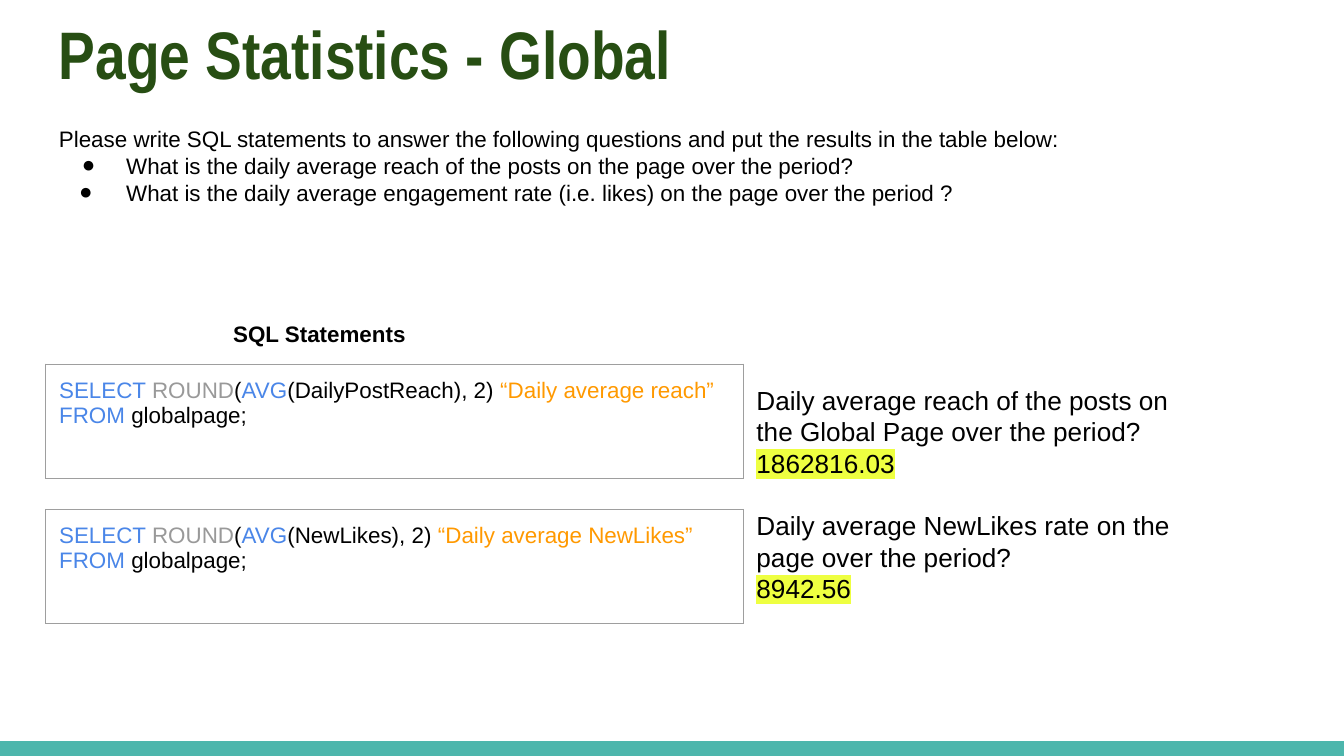
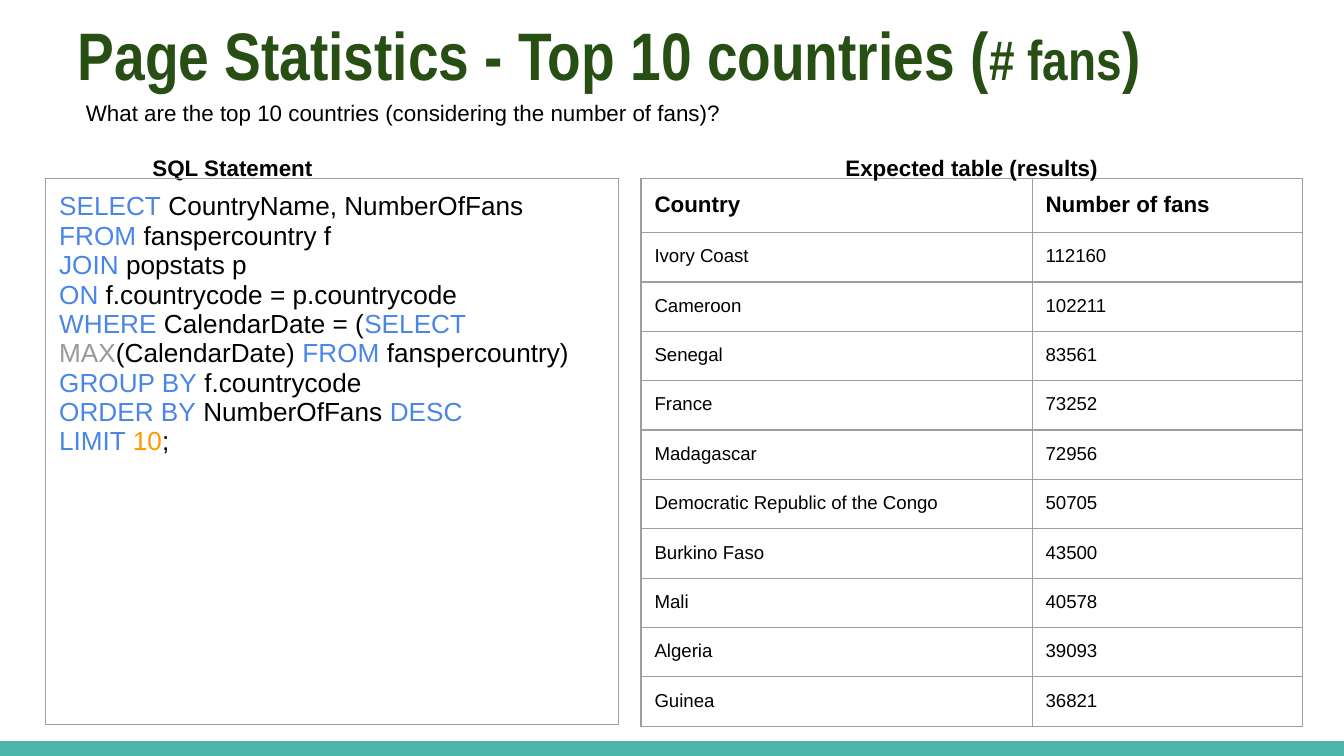
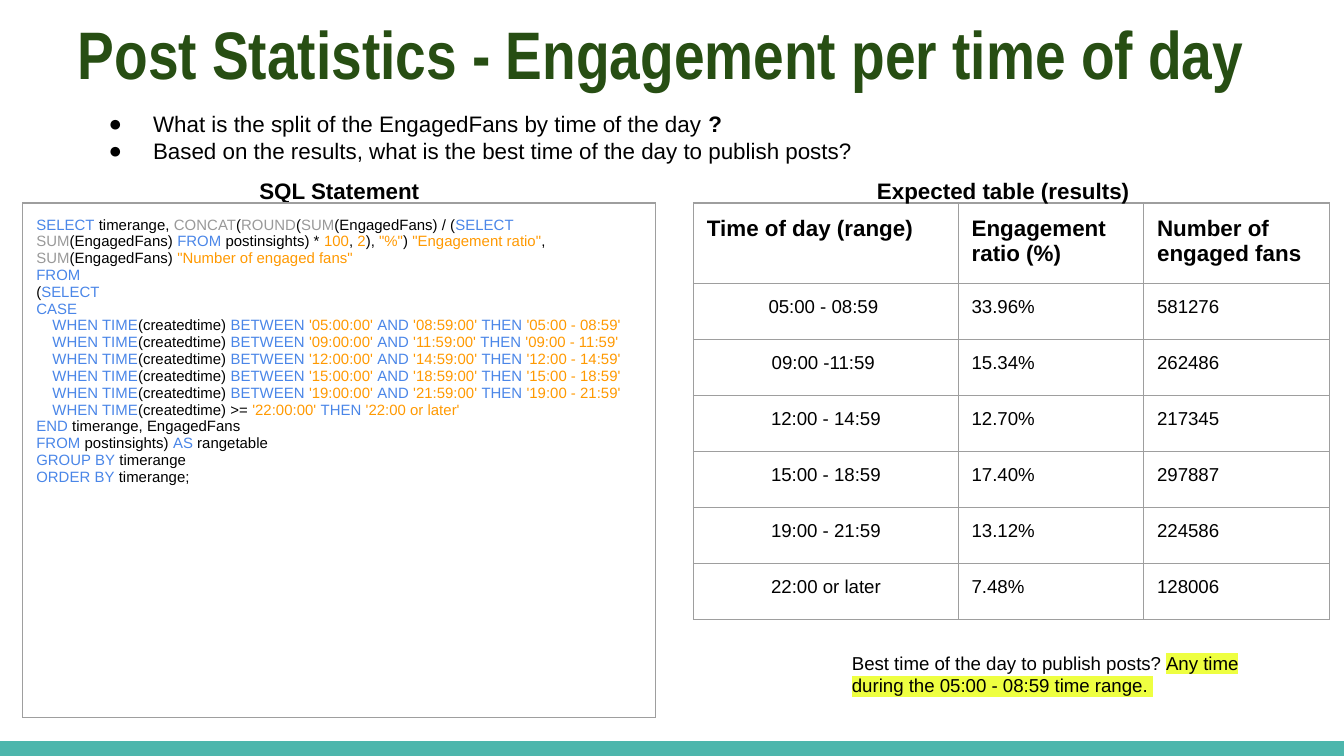
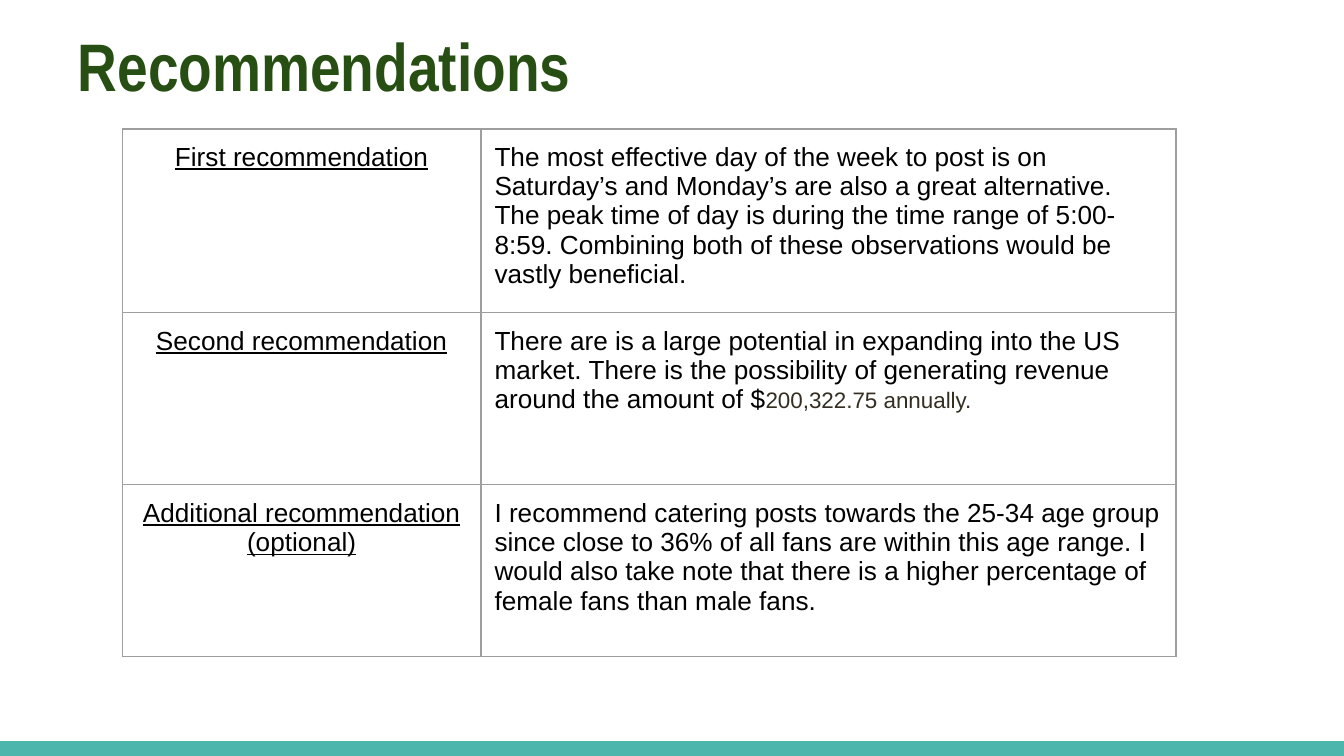
from dataclasses import dataclass
from typing import Optional, Sequence, Union

from lxml import etree
from pptx import Presentation
from pptx.dml.color import RGBColor
from pptx.enum.shapes import MSO_SHAPE
from pptx.enum.text import MSO_ANCHOR, PP_ALIGN
from pptx.oxml.ns import qn
from pptx.util import Inches, Pt

RECT = MSO_SHAPE.RECTANGLE
TOP = MSO_ANCHOR.TOP
LEFT, CENTER = PP_ALIGN.LEFT, PP_ALIGN.CENTER
WIDE = 10
HIGH = WIDE * 9 / 16


@dataclass(frozen=True)
class Theme:
    sans: str = "Arial"
    narrow: str = "Arial Narrow"
    ink: str = "000000"
    green: str = "274E13"
    teal: str = "4DB6AC"
    blue: str = "4A86E8"
    grey: str = "999999"
    orange: str = "FF9900"
    brown: str = "342E22"
    glow: str = "EEFF41"
    rule: str = "9E9E9E"
    title: int = 36
    sub: int = 30
    large: int = 14
    body: int = 12
    small: int = 10
    code: int = 8
    edge: float = 0.75
    inset: float = 0.1
    band: float = 0.11


THEME = Theme()

MARKS = {
    "~": {"color": THEME.blue},
    "^": {"color": THEME.grey},
    "@": {"color": THEME.orange},
    "!": {"glow": THEME.glow},
    "+": {"bold": True},
    "=": {"size": THEME.sub},
    "&": {"color": THEME.brown, "size": THEME.body},
}


@dataclass(frozen=True)
class Box:
    left: float
    top: float
    width: float
    height: float

    def lengths(self) -> tuple:
        return tuple(Inches(v) for v in (self.left, self.top, self.width, self.height))


@dataclass(frozen=True)
class Line:
    text: str
    indent: float = 0
    hang: float = 0
    before: float = 0


Lines = Sequence[Union[str, Line]]


def style(run, size: int, color: str, bold: bool, under: bool, font: str,
          glow: Optional[str] = None) -> None:
    face = run.font
    face.size, face.bold, face.underline = Pt(size), bold, under
    face.color.rgb = RGBColor.from_string(color)
    if glow:
        mark = etree.SubElement(run._r.get_or_add_rPr(), qn("a:highlight"))
        etree.SubElement(mark, qn("a:srgbClr"), val=glow)
    face.name = font


def indent(para, line: Line) -> None:
    props = para._p.get_or_add_pPr()
    props.set("marL", str(Inches(line.indent)))
    props.set("indent", str(-Inches(line.hang)))
    if line.hang:
        tint = etree.SubElement(props, qn("a:buClr"))
        etree.SubElement(tint, qn("a:srgbClr"), val=THEME.ink)
        etree.SubElement(props, qn("a:buFont"), typeface=THEME.sans)
        etree.SubElement(props, qn("a:buChar"), char="●")


def write(frame, lines: Lines, *, size: int = THEME.body, color: str = THEME.ink,
          bold: bool = False, under: bool = False, font: str = THEME.sans,
          align=LEFT, lead: Optional[float] = None) -> None:
    base = {"size": size, "color": color, "bold": bold, "under": under, "font": font}
    for i, item in enumerate(lines):
        line = item if isinstance(item, Line) else Line(item)
        para = frame.paragraphs[0] if i == 0 else frame.add_paragraph()
        para.alignment, para.line_spacing = align, lead
        para.space_before = Pt(line.before)
        indent(para, line)
        for part in line.text.split("|"):
            mark = MARKS.get(part[:1])
            run = para.add_run()
            run.text = part[1:] if mark else part
            style(run, **{**base, **(mark or {})})


def label(slide, box: Box, lines: Lines, **fmt) -> None:
    frame = slide.shapes.add_textbox(*box.lengths()).text_frame
    frame.word_wrap = True
    frame.vertical_anchor = TOP
    frame.margin_left = frame.margin_right = Inches(THEME.inset)
    frame.margin_top = frame.margin_bottom = Inches(THEME.inset)
    write(frame, lines, lead=1.0, **fmt)


def heading(slide, left: float, top: float, width: float, text: str) -> None:
    label(slide, Box(left, top, width, 0.25), [text], bold=True, align=CENTER)


def outline(cell) -> None:
    props = cell._tc.get_or_add_tcPr()
    for i, side in enumerate(("lnL", "lnR", "lnT", "lnB")):
        edge = etree.Element(qn(f"a:{side}"), w=str(Pt(THEME.edge)))
        fill = etree.SubElement(edge, qn("a:solidFill"))
        etree.SubElement(fill, qn("a:srgbClr"), val=THEME.rule)
        props.insert(i, edge)


def fill_cell(cell, lines: Lines, **fmt) -> None:
    cell.margin_left = cell.margin_right = Inches(THEME.inset)
    cell.margin_top = cell.margin_bottom = Inches(THEME.inset)
    cell.vertical_anchor = TOP
    cell.fill.background()
    outline(cell)
    write(cell.text_frame, lines, **fmt)


def grid(slide, left: float, top: float, height: float, cols: Sequence[float],
         rows: Sequence[Sequence[Lines]], *, head: float = 0, size: int = THEME.small,
         first: Optional[dict] = None) -> None:
    box = Box(left, top, sum(cols), height)
    table = slide.shapes.add_table(len(rows), len(cols), *box.lengths()).table
    table.first_row = table.horz_banding = False
    for col, width in zip(table.columns, cols):
        col.width = Inches(width)
    step = (height - head) / (len(rows) - bool(head))
    for r, row in enumerate(rows):
        top_row = bool(head) and r == 0
        table.rows[r].height = Inches(head if top_row else step)
        for c, lines in enumerate(row):
            fmt = {"size": THEME.body, "bold": True} if top_row else {"size": size}
            if c == 0 and not top_row:
                fmt.update(first or {})
            fill_cell(table.cell(r, c), lines, **fmt)


def panel(slide, box: Box, lines: Lines, size: int) -> None:
    grid(slide, box.left, box.top, box.height, [box.width], [[lines]], size=size)


def split(*rows: str) -> list:
    return [[[text] for text in row.split(";")] for row in rows]


def start(deck, left: float, top: float, title: str):
    slide = deck.slides.add_slide(deck.slide_layouts[6])
    box = Box(0, HIGH - THEME.band, WIDE, THEME.band)
    band = slide.shapes.add_shape(RECT, *box.lengths())
    band.shadow.inherit = False
    band.fill.solid()
    band.fill.fore_color.rgb = RGBColor.from_string(THEME.teal)
    band.line.fill.background()
    label(slide, Box(left, top, 9.32, 0.77), [title], size=THEME.title,
          color=THEME.green, bold=True, font=THEME.narrow)
    return slide


def global_page(deck) -> None:
    slide = start(deck, 0.34, -0.01, "Page Statistics - Global")
    label(slide, Box(0.34, 0.83, 9.32, 1.27), [
        "Please write SQL statements to answer the following questions and put the results in the table below:",
        Line("What is the daily average reach of the posts on the page over the period?", 0.5, 0.33),
        Line("What is the daily average engagement rate (i.e. likes) on the page over the period ?", 0.5, 0.35),
    ])
    heading(slide, 1.01, 2.28, 2.78, "SQL Statements ")
    queries = (("DailyPostReach", "reach"), ("NewLikes", "NewLikes"))
    for i, (field, name) in enumerate(queries):
        panel(slide, Box(0.34, 2.71 + 1.08 * i, 5.19, 0.85), [
            f"~SELECT |^ROUND|(|~AVG|({field}), 2) |@“Daily average {name}”",
            "~FROM| globalpage;",
        ], THEME.body)
    label(slide, Box(5.53, 2.76, 3.28, 2.04), [
        "Daily average reach of the posts on the Global Page over the period?",
        "!1862816.03",
        Line("Daily average NewLikes rate on the page over the period?", before=16.8),
        "!8942.56",
    ], size=THEME.large)


def countries(deck) -> None:
    slide = start(deck, 0.48, 0, "Page Statistics - Top 10 countries (|=# fans|)")
    top, high = 1.33, 4.06
    grid(slide, 4.77, top, high, [2.91, 2.01], split(
        "Country;Number of fans",
        "Ivory Coast;112160",
        "Cameroon;102211",
        "Senegal;83561",
        "France;73252",
        "Madagascar;72956",
        "Democratic Republic of the Congo;50705",
        "Burkino Faso;43500",
        "Mali;40578",
        "Algeria;39093",
        "Guinea;36821",
    ), head=0.4)
    label(slide, Box(0.54, 0.64, 8.91, 0.35),
          ["What are the top 10 countries (considering the number of fans)?"])
    heading(slide, 0.34, 1.05, 2.78, "SQL Statement")
    heading(slide, 4.77, 1.05, 4.92, "Expected table (results)")
    panel(slide, Box(0.34, top, 4.26, high), [
        "~SELECT| CountryName, NumberOfFans",
        "~FROM| fanspercountry f",
        "~JOIN| popstats p",
        "~ON| f.countrycode = p.countrycode",
        "~WHERE| CalendarDate = (|~SELECT |^MAX|(CalendarDate) |~FROM| fanspercountry)",
        "~GROUP BY| f.countrycode",
        "~ORDER BY| NumberOfFans |~DESC",
        "~LIMIT |@10|;",
    ], THEME.large)


def times(deck) -> None:
    slide = start(deck, 0.48, -0.01, "Post Statistics - Engagement per time of day")
    grid(slide, 5.16, 1.51, 2.99, [1.97, 1.38, 1.38], split(
        "Time of day (range);Engagement ratio (%);Number of engaged fans",
        "05:00 - 08:59 ;33.96%;581276",
        "09:00 -11:59 ;15.34%;262486",
        "12:00 - 14:59;12.70%;217345",
        "15:00 - 18:59;17.40%;297887",
        "19:00 - 21:59;13.12%;224586",
        "22:00 or later;7.48%;128006",
    ), head=0.49, first={"align": CENTER})
    label(slide, Box(0.54, 0.72, 8.91, 0.54), [
        Line("What is the split of the EngagedFans by time of the day |+?", 0.5, 0.33),
        Line("Based on the results, what is the best time of the day to publish posts?", 0.5, 0.33),
    ])
    heading(slide, 0.17, 1.22, 4.71, "SQL Statement")
    heading(slide, 5.16, 1.22, 4.61, "Expected table (results)")
    spans = (("05:00", "08:59"), ("09:00", "11:59"), ("12:00", "14:59"),
             ("15:00", "18:59"), ("19:00", "21:59"))
    when = "~WHEN TIME|(createdtime) "
    cases = [f"{when}|~BETWEEN |@'{a}:00' |~AND |@'{b}:00' |~THEN |@'{a} - {b}'"
             for a, b in spans]
    cases.append(f"{when}>= |@'22:00:00' |~THEN |@'22:00 or later'")
    panel(slide, Box(0.17, 1.51, 4.71, 3.83), [
        "~SELECT| timerange, |^CONCAT|(|^ROUND|(|^SUM|(EngagedFans) / (|~SELECT |^SUM"
        "|(EngagedFans) |~FROM| postinsights) * |@100|, |@2|), |@\"%\"|) "
        "|@\"Engagement ratio\"|,|^ SUM|(EngagedFans) |@\"Number of engaged fans\"",
        "~FROM",
        "(|~SELECT",
        "~CASE",
        *(Line(case, 0.12) for case in cases),
        "~END| timerange, EngagedFans",
        "~FROM| postinsights) |~AS| rangetable",
        "~GROUP BY| timerange",
        "~ORDER BY| timerange;",
    ], THEME.code)
    label(slide, Box(6.24, 4.75, 3.28, 0.6), [
        "Best time of the day to publish posts? |!Any time during the 05:00 - 08:59 time range. ",
    ], size=THEME.small)


def advice(deck) -> None:
    slide = start(deck, 0.48, 0.08, "Recommendations")
    grid(slide, 0.91, 0.96, 3.84, [2.67, 5.17], split(
        "First recommendation;The most effective day of the week to post is on Saturday’s "
        "and Monday’s are also a great alternative. The peak time of day is during the time "
        "range of 5:00-8:59. Combining both of these observations would be vastly beneficial.",
        "Second recommendation;There are is a large potential in expanding into the US market. "
        "There is the possibility of generating revenue around the amount of $"
        "|&200,322.75 annually.",
        "Additional recommendation (optional);I recommend catering posts towards the 25-34 age "
        "group since close to 36% of all fans are within this age range. I would also take note "
        "that there is a higher percentage of female fans than male fans.",
    ), size=THEME.large, first={"align": CENTER, "under": True})


def main() -> None:
    deck = Presentation()
    deck.slide_width, deck.slide_height = Inches(WIDE), Inches(HIGH)
    for build in (global_page, countries, times, advice):
        build(deck)
    deck.save("out.pptx")


if __name__ == "__main__":
    main()
